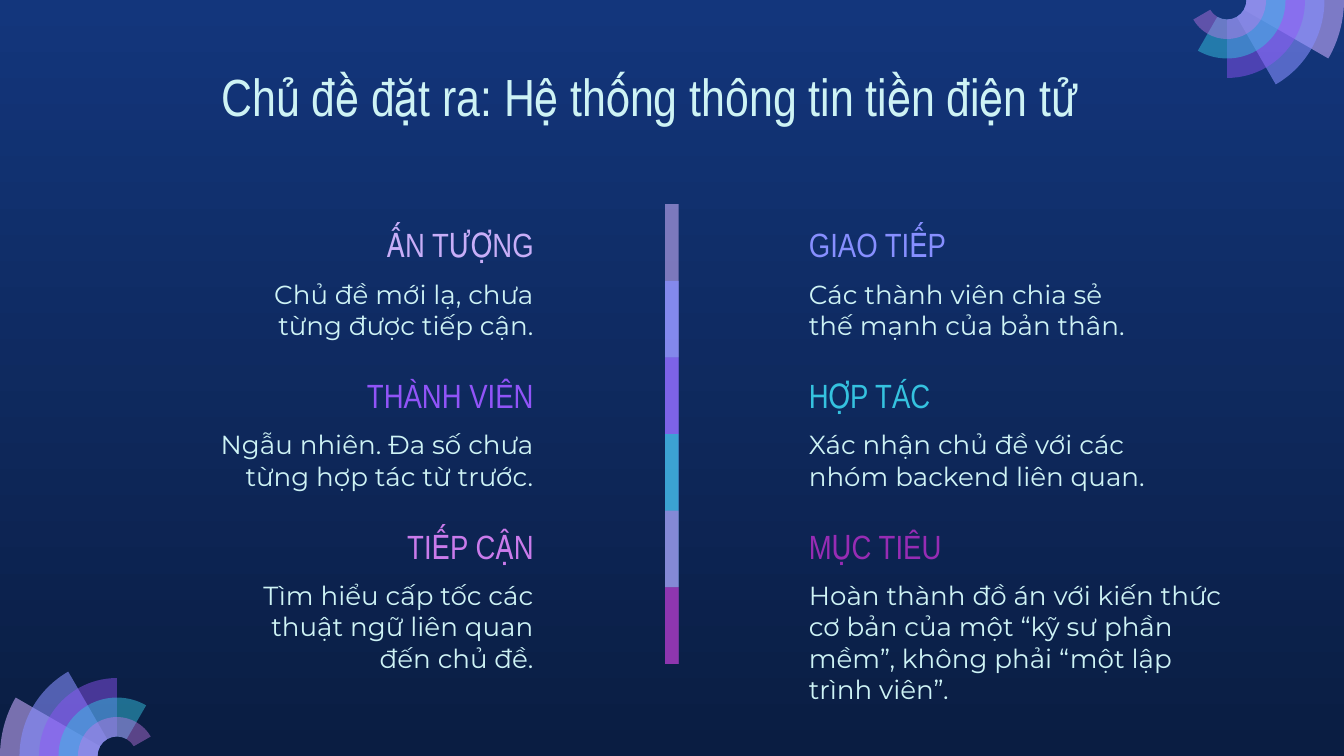
from math import cos, radians, sin

from lxml.etree import Element, SubElement
from pptx import Presentation
from pptx.dml.color import RGBColor
from pptx.enum.shapes import MSO_SHAPE
from pptx.enum.text import MSO_ANCHOR, PP_ALIGN
from pptx.oxml.ns import qn
from pptx.util import Inches, Pt

COLORS = {
    "top": "13367C",
    "bottom": "0A1D42",
    "pale": "CEF3F5",
    "lilac": "C8AEF8",
    "mauve": "C8ACFD",
    "blue": "878FFF",
    "violet": "9154F8",
    "cyan": "35C2DF",
    "pink": "CA7BEB",
    "purple": "972CB4",
}
WIDTH, HEIGHT = 10, 5.625
HUB = 0.87
RING = HOLE = HUB / 6
PETALS = [("mauve", 58), ("blue", 58), ("violet", 46), ("cyan", 49), ("pink", 42)]
BARS = [("lilac", 59), ("blue", 74), ("violet", 53),
        ("cyan", 76), ("pink", 56), ("purple", 74)]
BAR_TOP, BAR_STEP = 1.52, 0.57
ROW_TOP, ROW_STEP = 1.64, 1.12
LEFT = [
    ("ẤN TƯỢNG", "lilac", "Chủ đề mới lạ, chưa từng được tiếp cận.",
     2.53, 0.69, 0.1),
    ("THÀNH VIÊN", "violet", "Ngẫu nhiên. Đa số chưa từng hợp tác từ trước.",
     2.53, 0.69, 0.1),
    ("TIẾP CẬN", "pink", "Tìm hiểu cấp tốc các thuật ngữ liên quan đến chủ đề.",
     2.53, 0.69, 0.1),
]
RIGHT = [
    ("GIAO TIẾP", "blue", "Các thành viên chia sẻ thế mạnh của bản thân.",
     3.1, 0.69, 0.55),
    ("HỢP TÁC", "cyan", "Xác nhận chủ đề với các nhóm backend liên quan.",
     3.1, 0.69, 0.1),
    ("MỤC TIÊU", "purple", "Hoàn thành đồ án với kiến thức cơ bản của một "
     "“kỹ sư phần mềm”, không phải “một lập trình viên”.", 3.38, 0.99, 0.1),
]


def rgb(name):
    return RGBColor.from_string(COLORS[name])


def paint(shape, color, alpha):
    shape.shadow.inherit = False
    shape.line.fill.background()
    shape.fill.solid()
    shape.fill.fore_color.rgb = rgb(color)
    tint = shape._element.spPr.find(qn("a:solidFill"))[0]
    SubElement(tint, qn("a:alpha"), val=str(alpha * 1000))


def add_text(slide, text, box, *, size=14, font="Montserrat", color="pale",
             align=PP_ALIGN.LEFT, anchor=MSO_ANCHOR.TOP, inset=0.1):
    frame = slide.shapes.add_textbox(*map(Inches, box)).text_frame
    frame.word_wrap = True
    frame.vertical_anchor = anchor
    frame.margin_left = frame.margin_top = frame.margin_bottom = Inches(0.1)
    frame.margin_right = Inches(inset)
    para = frame.paragraphs[0]
    para.alignment = align
    run = para.add_run()
    run.text = text
    run.font.size = Pt(size)
    run.font.name = font
    run.font.color.rgb = rgb(color)


def bend(shape, edge, base):
    lines = list(shape._element.spPr.iter(qn("a:lnTo")))
    for line, (size, turn), (reach, end) in zip(lines, edge, edge[1:]):
        if size == reach:
            arc = Element(qn("a:arcTo"), wR=str(Inches(size)), hR=str(Inches(size)),
                          stAng=str((base + turn) * 60000),
                          swAng=str((end - turn) * 60000))
            line.getparent().replace(line, arc)


def add_fan(slide, x, y, sign):
    group = slide.shapes.add_group_shape()
    for i, (color, alpha) in enumerate(PETALS):
        last = 30 * (i + 1)
        turns = sorted({0, min(90, last), last})
        edge = [(HUB - i * RING, turn) for turn in turns]
        edge += [(HOLE, last), (HOLE, 0)]
        points = [(Inches(x - sign * size * cos(radians(turn))),
                   Inches(y - sign * size * sin(radians(turn))))
                  for size, turn in edge]
        maker = group.shapes.build_freeform(*points[0])
        maker.add_line_segments(points[1:])
        petal = maker.convert_to_shape()
        bend(petal, edge, 180 if sign > 0 else 0)
        paint(petal, color, alpha)


def add_bars(slide):
    group = slide.shapes.add_group_shape()
    for i, (color, alpha) in enumerate(BARS):
        span = 1 if i == len(BARS) - 1 else 2
        bar = group.shapes.add_shape(
            MSO_SHAPE.RECTANGLE, Inches(4.95), Inches(BAR_TOP + i * BAR_STEP),
            Inches(0.1), Inches(span * BAR_STEP))
        paint(bar, color, alpha)


def add_column(slide, items, left, align):
    for i, (head, color, body, width, height, inset) in enumerate(items):
        top = ROW_TOP + i * ROW_STEP
        add_text(slide, head, (left, top, 2.53, 0.43), size=18,
                 font="Arial Narrow", color=color, align=align,
                 anchor=MSO_ANCHOR.BOTTOM)
        add_text(slide, body, (left, top + 0.33, width, height),
                 align=align, inset=inset)


def add_back(slide):
    fill = slide.background.fill
    fill.gradient()
    fill.gradient_angle = 270
    for stop, color in zip(fill.gradient_stops, ("top", "bottom")):
        stop.color.rgb = rgb(color)


def main():
    deck = Presentation()
    deck.slide_width, deck.slide_height = Inches(WIDTH), Inches(HEIGHT)
    slide = deck.slides.add_slide(deck.slide_layouts[6])
    add_back(slide)
    add_fan(slide, HUB, HEIGHT, 1)
    add_fan(slide, WIDTH - HUB, 0, -1)
    add_text(slide, "Chủ đề đặt ra: Hệ thống thông tin tiền điện tử",
             (1.55, 0.38, 8.43, 0.63), size=28, font="Arial Narrow")
    add_column(slide, LEFT, 1.54, PP_ALIGN.RIGHT)
    add_column(slide, RIGHT, 5.92, PP_ALIGN.LEFT)
    add_bars(slide)
    deck.save("out.pptx")


if __name__ == "__main__":
    main()
